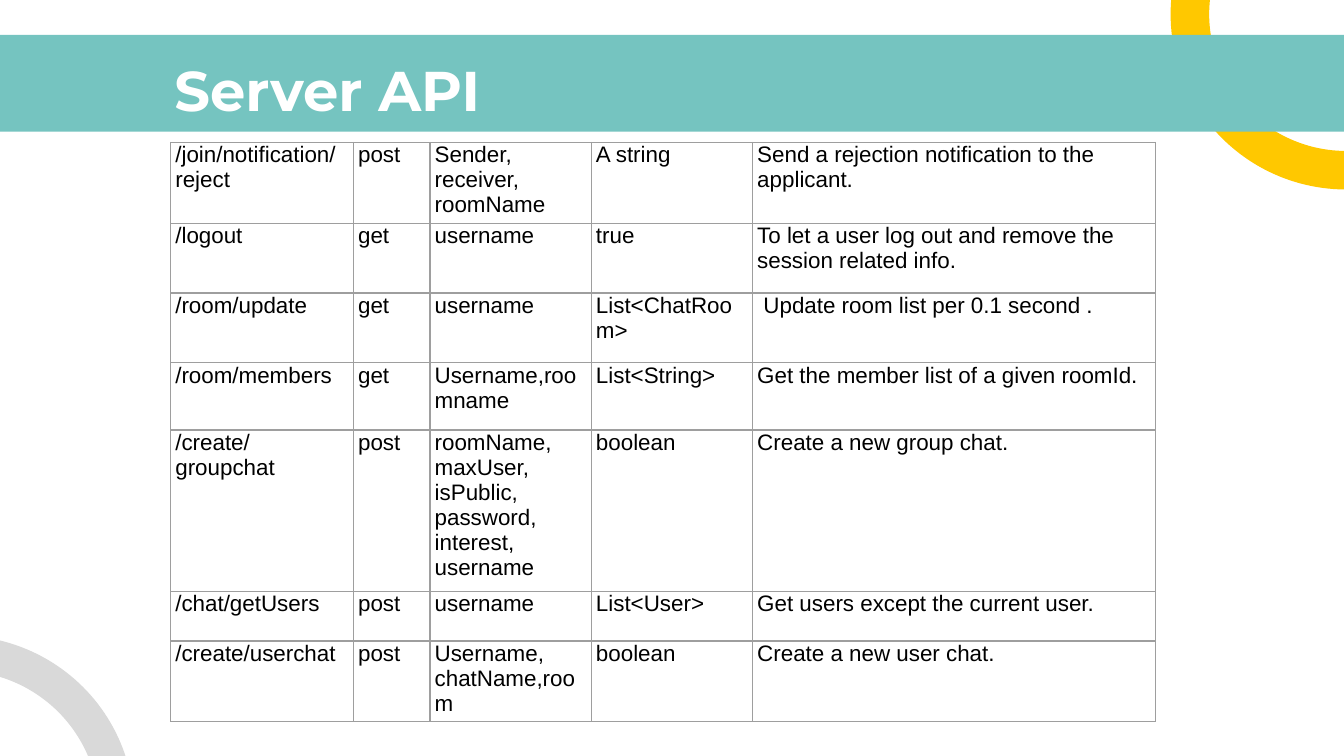
import pptx
import pptx.dml.color
import pptx.enum.shapes
import pptx.enum.text
import pptx.oxml
import pptx.oxml.ns
import pptx.util
from pptx.util import Inches

TITLE = "Server API"
ROWS = [
    ("/join/notification/reject", "post", "Sender, receiver, roomName", "A string",
     "Send a rejection notification to the applicant."),
    ("/logout", "get", "username", "true",
     "To let a user log out and remove the session related info."),
    ("/room/update", "get", "username", "List<ChatRoom>", " Update room list per 0.1 second ."),
    ("/room/members", "get", "Username,roomname", "List<String>",
     "Get the member list of a given roomId."),
    ("/create/groupchat", "post",
     "roomName, maxUser, isPublic, password, interest, username", "boolean",
     "Create a new group chat."),
    ("/chat/getUsers", "post", "username", "List<User>", "Get users except the current user."),
    ("/create/userchat", "post", "Username, chatName,room", "boolean", "Create a new user chat."),
]
COL_WIDTHS = [1.36, 0.57, 1.2, 1.2, 3]
ROW_HEIGHTS = [0.52, 0.52, 0.52, 0.5, 1.05, 0.37, 0.52]
COLORS = {"yellow": "FFC800", "teal": "75C4C0", "gray": "D9D9D9",
          "white": "FFFFFF", "black": "000000", "border": "9E9E9E"}
ARC = pptx.enum.shapes.MSO_SHAPE.BLOCK_ARC
BAND = pptx.enum.shapes.MSO_SHAPE.RECTANGLE
DECORATIONS = [
    (ARC, (8.71, -1.2, 2.61, 2.61), "yellow", 270, (108.21, 165.56, 0.11)),
    (BAND, (-0.17, 0.26, 10.34, 0.72), "teal", 0, ()),
    (ARC, (-1.61, 4.73, 2.61, 2.61), "gray", 345, (175.07, 215.56, 0.1)),
]


def rgb(name):
    return pptx.dml.color.RGBColor.from_string(COLORS[name])


def set_font(p, name, size, color, bold=False):
    p.font.name = name
    p.font.size = pptx.util.Pt(size)
    p.font.bold = bold
    p.font.color.rgb = rgb(color)


def add_decoration(slide, kind, box, color, rotation, adjustments):
    sp = slide.shapes.add_shape(kind, *map(Inches, box))
    sp.shadow.inherit = False
    sp.fill.solid()
    sp.fill.fore_color.rgb = rgb(color)
    sp.line.fill.background()
    sp.rotation = rotation
    for i, value in enumerate(adjustments):
        sp.adjustments[i] = value


def add_title(slide):
    tb = slide.shapes.add_textbox(*map(Inches, (1.2, 0.31, 8.46, 0.63)))
    tf = tb.text_frame
    tf.word_wrap = True
    tf.vertical_anchor = pptx.enum.text.MSO_ANCHOR.TOP
    tf.margin_left = tf.margin_right = tf.margin_top = tf.margin_bottom = Inches(0.1)
    tf.text = TITLE
    set_font(tf.paragraphs[0], "Montserrat", 30, "white", bold=True)


def set_borders(cell):
    tc_pr = cell._tc.get_or_add_tcPr()
    for side in ("lnL", "lnR", "lnT", "lnB"):
        tc_pr.append(pptx.oxml.parse_xml(
            f'<a:{side} {pptx.oxml.ns.nsdecls("a")} w="{pptx.util.Pt(0.75)}"><a:solidFill>'
            f'<a:srgbClr val="{COLORS["border"]}"/></a:solidFill></a:{side}>'))


def add_api_table(slide):
    table = slide.shapes.add_table(
        len(ROWS), len(COL_WIDTHS), Inches(1.27), Inches(1.06),
        Inches(sum(COL_WIDTHS)), Inches(sum(ROW_HEIGHTS))).table
    table.first_row = table.horz_banding = False
    for column, width in zip(table.columns, COL_WIDTHS):
        column.width = Inches(width)
    for row, height, texts in zip(table.rows, ROW_HEIGHTS, ROWS):
        row.height = Inches(height)
        for cell, text in zip(row.cells, texts):
            cell.margin_left = cell.margin_right = pptx.util.Pt(2.5)
            cell.margin_top = cell.margin_bottom = 0
            cell.text = text
            set_font(cell.text_frame.paragraphs[0], "Arial", 12, "black")
            set_borders(cell)
            cell.fill.background()


def main():
    prs = pptx.Presentation()
    prs.slide_width = Inches(10)
    prs.slide_height = prs.slide_width * 9 // 16
    slide = prs.slides.add_slide(prs.slide_layouts[6])
    for decoration in DECORATIONS:
        add_decoration(slide, *decoration)
    add_title(slide)
    add_api_table(slide)
    prs.save("out.pptx")


if __name__ == "__main__":
    main()
